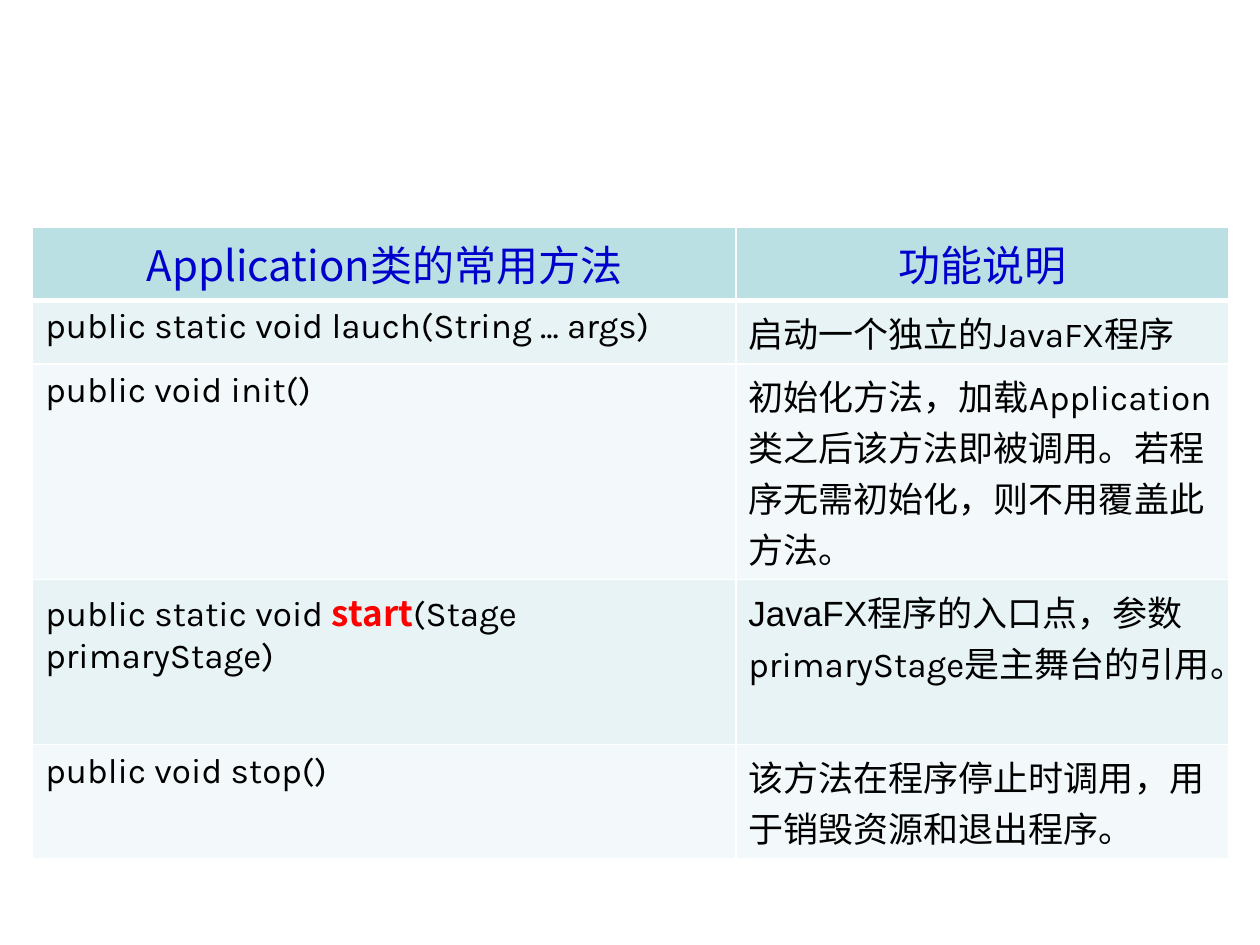
from dataclasses import dataclass
from lxml import etree
from pptx import Presentation
from pptx import util as u
from pptx.dml import color
from pptx.enum import text
from pptx.oxml import ns


@dataclass(frozen=True)
class Theme:
    head: str = "BBE0E3"
    odd: str = "E7F3F4"
    even: str = "F3F9FA"
    title: str = "0000CC"
    ink: str = "000000"
    alert: str = "FF0000"
    line: str = "FFFFFF"
    big: int = 24
    body: int = 20
    latin: str = "Karla"
    plain: str = "Arial"
    han: str = "Noto Sans CJK SC"


T = Theme()
COLS = [5.58, 3.91]
ROWS = [0.5, 0.43, 1.43, 0.77, 0.77]
HEAD = ["Application类的常用方法", "功能说明"]
STYLES = {
    "head": (T.han, T.big, T.title, False),
    "body": (T.latin, T.body, T.ink, False),
    "plain": (T.plain, T.body, T.ink, False),
    "alert": (T.han, T.body, T.alert, True),
}
METHODS = [
    ([("public static void lauch(String ... args)", "body")],
     [("启动一个独立的JavaFX程序", "body")]),
    ([("public void init()", "body")],
     [("初始化方法，加载Application类之后该方法即被调用。"
       "若程序无需初始化，则不用覆盖此方法。", "body")]),
    ([("public static void ", "body"), ("start", "alert"),
      ("(Stage primaryStage)", "body")],
     [("JavaFX程序的入口点，参数", "plain"),
      ("primaryStage是主舞台的引用。", "body")]),
    ([("public void stop()", "body")],
     [("该方法在程序停止时调用，用于销毁资源和退出程序。", "body")]),
]


def add_run(para, words, style):
    name, size, ink, bold = STYLES[style]
    run = para.add_run()
    run.text = words
    font = run.font
    font.name, font.size, font.bold = name, u.Pt(size), bold
    font.color.rgb = color.RGBColor.from_string(ink)
    east = etree.SubElement(font._element, ns.qn("a:ea"))
    east.set("typeface", T.han)


def add_edge(cell, side, width):
    props = cell._tc.get_or_add_tcPr()
    line = etree.SubElement(props, ns.qn(f"a:ln{side}"), w=str(u.Pt(width)))
    fill = etree.SubElement(line, ns.qn("a:solidFill"))
    etree.SubElement(fill, ns.qn("a:srgbClr"), val=T.line)


def fill_cell(cell, runs, back, edges, align):
    for side, width in edges.items():
        add_edge(cell, side, width)
    cell.fill.solid()
    cell.fill.fore_color.rgb = color.RGBColor.from_string(back)
    para = cell.text_frame.paragraphs[0]
    para.alignment = align
    for words, style in runs:
        add_run(para, words, style)


def add_grid(slide):
    frame = slide.shapes.add_table(
        len(ROWS), len(COLS), u.Inches(0.26), u.Inches(1.8),
        u.Inches(sum(COLS)), u.Inches(sum(ROWS)))
    grid = frame.table
    for col, width in zip(grid.columns, COLS):
        col.width = u.Inches(width)
    for row, height in zip(grid.rows, ROWS):
        row.height = u.Inches(height)
    return grid


def main():
    deck = Presentation()
    deck.slide_width, deck.slide_height = u.Inches(10), u.Inches(7.5)
    slide = deck.slides.add_slide(deck.slide_layouts[6])
    grid = add_grid(slide)
    for c, words in enumerate(HEAD):
        fill_cell(grid.cell(0, c), [(words, "head")], T.head,
                  dict(L=1, R=1, T=1, B=3), text.PP_ALIGN.CENTER)
    for r, row in enumerate(METHODS, 1):
        back = T.odd if r % 2 else T.even
        edges = dict(L=1, R=1, T=3 if r == 1 else 1, B=1)
        for c, runs in enumerate(row):
            fill_cell(grid.cell(r, c), runs, back, edges, text.PP_ALIGN.LEFT)
    deck.save("out.pptx")


if __name__ == "__main__":
    main()
